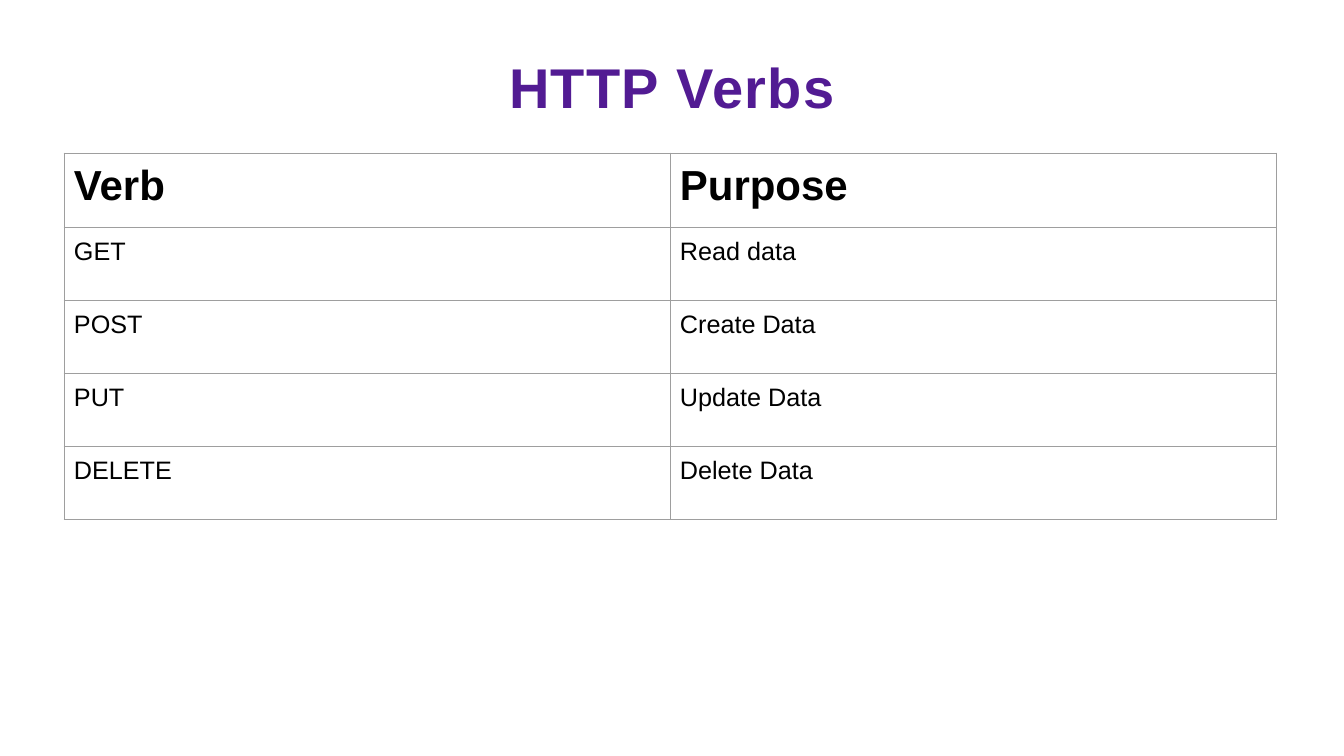
"""Build a slide with a table of HTTP verbs and their purposes."""
from dataclasses import dataclass

from pptx import Presentation
from pptx import util as u
from pptx.dml.color import RGBColor
from pptx.enum import text
from pptx.oxml import parse_xml
from pptx.oxml.ns import nsdecls


@dataclass(frozen=True)
class Theme:
    font: str = "Arial"
    title_color: str = "521B93"
    text_color: str = "000000"
    border_color: str = "9E9E9E"
    title_size: int = 40
    header_size: int = 30
    body_size: int = 18
    border_width: float = 0.75


THEME = Theme()
PX = u.Inches(1) / 100.8


def px(length):
    return u.Emu(round(length * PX))


def style_paragraph(paragraph, size, color, bold):
    font = paragraph.font
    font.name = THEME.font
    font.size = u.Pt(size)
    font.bold = bold
    font.color.rgb = RGBColor.from_string(color)


presentation = Presentation()
presentation.slide_width = px(1344)
presentation.slide_height = px(756)
slide = presentation.slides.add_slide(presentation.slide_layouts[6])

title = slide.shapes.add_textbox(px(67), px(40), px(1210), px(101))
title_frame = title.text_frame
title_frame.word_wrap = True
title_frame.vertical_anchor = text.MSO_ANCHOR.MIDDLE
title_frame.margin_left = title_frame.margin_right = px(10)
title_frame.margin_top = title_frame.margin_bottom = px(5)
title_paragraph = title_frame.paragraphs[0]
title_paragraph.alignment = text.PP_ALIGN.CENTER
title_paragraph.line_spacing = 0.9
title_run = title_paragraph.add_run()
title_run.text = "HTTP Verbs"
title_run.font._element.set("spc", "100")
style_paragraph(title_paragraph, THEME.title_size, THEME.title_color, True)

verbs = [
    ("Verb", "Purpose"),
    ("GET", "Read data"),
    ("POST", "Create Data"),
    ("PUT", "Update Data"),
    ("DELETE", "Delete Data"),
]
header_height, row_height, column_width = 75, 73, 606
table_height = header_height + row_height * (len(verbs) - 1)
table = slide.shapes.add_table(
    len(verbs), 2, px(64), px(153), px(2 * column_width), px(table_height)
).table
table.first_row = False
table.horz_banding = False
for column in table.columns:
    column.width = px(column_width)

for row_index, row_texts in enumerate(verbs):
    is_header = row_index == 0
    table.rows[row_index].height = px(header_height if is_header else row_height)
    size = THEME.header_size if is_header else THEME.body_size
    for column_index, cell_text in enumerate(row_texts):
        cell = table.cell(row_index, column_index)
        cell.text = cell_text
        cell.margin_left = cell.margin_right = px(10)
        cell.margin_top = cell.margin_bottom = px(10)
        style_paragraph(
            cell.text_frame.paragraphs[0], size, THEME.text_color, is_header
        )
        cell_properties = cell._tc.get_or_add_tcPr()
        for side in ("lnL", "lnR", "lnT", "lnB"):
            cell_properties.append(parse_xml(
                f'<a:{side} {nsdecls("a")} w="{u.Pt(THEME.border_width)}">'
                f'<a:solidFill><a:srgbClr val="{THEME.border_color}"/></a:solidFill>'
                f'</a:{side}>'
            ))
        cell.fill.background()

presentation.save("out.pptx")
